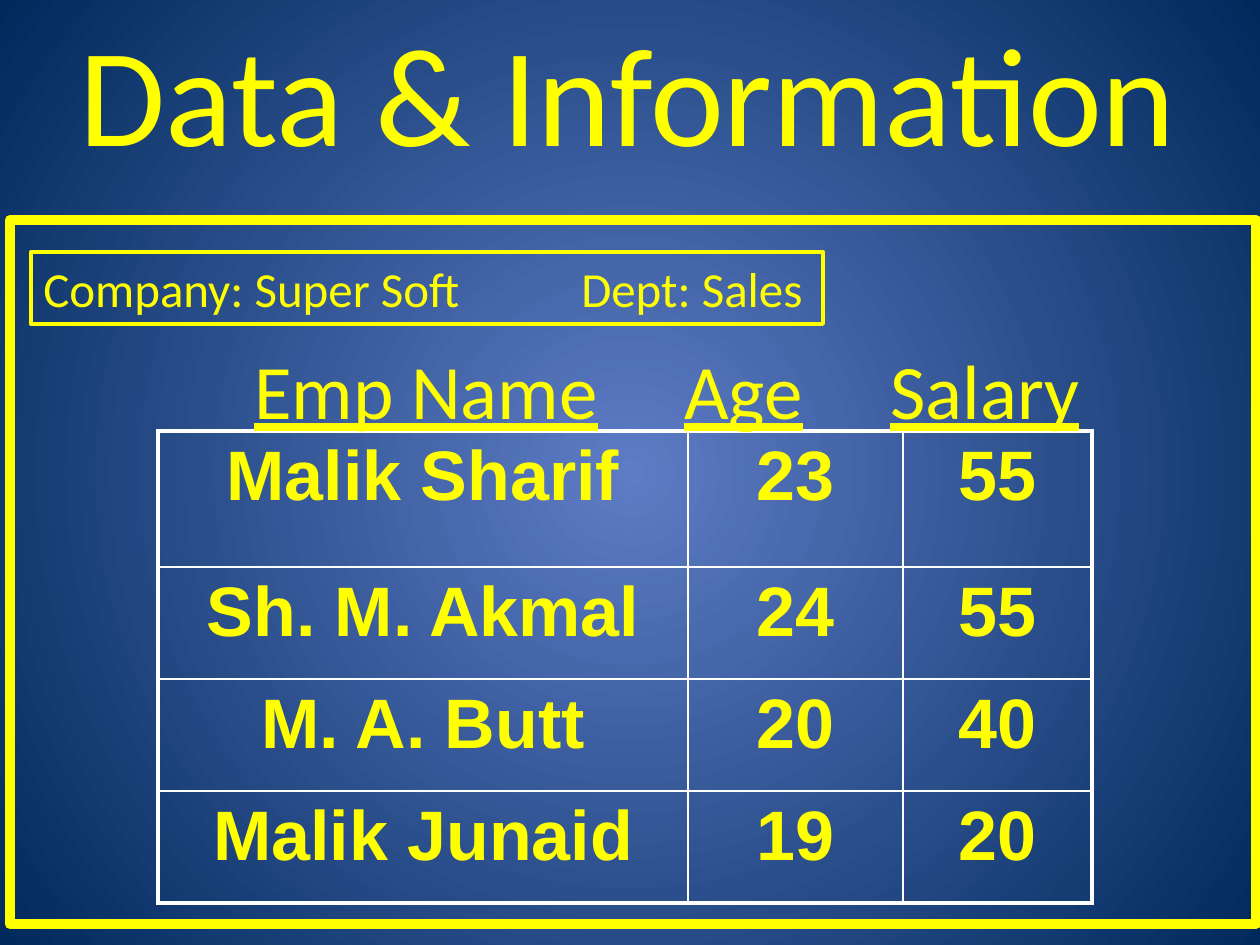
from pptx import Presentation
from pptx.dml.color import RGBColor as Rgb
from pptx.enum.shapes import MSO_SHAPE as Kind
from pptx.enum.text import MSO_ANCHOR as Anchor, PP_ALIGN as Align
from pptx.oxml import parse_xml
from pptx.oxml.ns import nsdecls, qn
from pptx.util import Pt

HUES = {"text": "FFFF00", "grid": "FFFFFF", "core": "5E7CC5", "rim": "00295C"}
WIDE, HIGH = 1260, 945


def px(n):
    return round(n * 914400 / 126)


def hue(name):
    return Rgb.from_string(HUES[name])


class Deck:
    def __init__(self):
        self.prs = Presentation()
        self.prs.slide_width, self.prs.slide_height = px(WIDE), px(HIGH)
        self.slide = self.prs.slides.add_slide(self.prs.slide_layouts[5])
        self.shapes = self.slide.shapes

    def back(self):
        fill = self.slide.background.fill
        fill.gradient()
        for stop, name in zip(fill.gradient_stops, ("core", "rim")):
            stop.color.rgb = hue(name)
        grad = self.slide.element.find(".//" + qn("a:gradFill"))
        grad.replace(grad.find(qn("a:lin")), parse_xml(
            f'<a:path {nsdecls("a")} path="circle"><a:fillToRect '
            'l="50000" t="50000" r="50000" b="50000"/></a:path>'))

    def style(self, run, size, face="Calibri", bold=False):
        font = run.font
        font.size, font.name, font.bold = Pt(size), face, bold
        font.color.rgb = hue("text")

    def label(self, shape, text, size, tabs=()):
        frame = shape.text_frame
        frame.word_wrap = True
        frame.vertical_anchor = Anchor.TOP
        frame.text = text
        para = frame.paragraphs[0]
        para.alignment = Align.LEFT
        for run in para.runs:
            self.style(run, size)
        if tabs:
            stops = "".join(f'<a:tab pos="{px(t)}" algn="l"/>' for t in tabs)
            para._p.get_or_add_pPr().append(parse_xml(
                f'<a:tabLst {nsdecls("a")}>{stops}</a:tabLst>'))

    def title(self, text, box, size):
        shape = self.shapes.title
        shape.left, shape.top, shape.width, shape.height = map(px, box)
        self.label(shape, text, size)

    def heads(self, names, box, size, tabs):
        shape = self.shapes.add_textbox(*map(px, box))
        self.label(shape, "", size, tabs)
        para = shape.text_frame.paragraphs[0]
        for i, name in enumerate(names):
            for text in ("\t", name) if i else (name,):
                run = para.add_run()
                run.text = text
                self.style(run, size)
                run.font.underline = text == name

    def frame(self, box, line):
        shape = self.shapes.add_shape(Kind.RECTANGLE, *map(px, box))
        shape.shadow.inherit = False
        shape.fill.background()
        shape.line.color.rgb = hue("text")
        shape.line.width = Pt(line)
        return shape

    def edge(self, cell, sides):
        props = cell._tc.get_or_add_tcPr()
        for i, (side, width) in enumerate(sides.items()):
            props.insert(i, parse_xml(
                f'<a:ln{side} {nsdecls("a")} w="{Pt(width)}"><a:solidFill>'
                f'<a:srgbClr val="{HUES["grid"]}"/></a:solidFill></a:ln{side}>'))

    def table(self, rows, spot, cols, highs, size):
        box = (*spot, sum(cols), sum(highs))
        grid = self.shapes.add_table(len(rows), len(cols), *map(px, box)).table
        grid.first_row = grid.horz_banding = False
        for col, wide in zip(grid.columns, cols):
            col.width = px(wide)
        for row, high in zip(grid.rows, highs):
            row.height = px(high)
        end, last = len(rows) - 1, len(cols) - 1
        for r, row in enumerate(rows):
            for c, text in enumerate(row):
                cell = grid.cell(r, c)
                cell.fill.background()
                cell.text_frame.text = text
                para = cell.text_frame.paragraphs[0]
                para.alignment = Align.CENTER
                self.style(para.runs[0], size, "Arial", True)
                # The outer edge is heavier than the inner lines
                outer = {"L": c == 0, "R": c == last, "T": r == 0, "B": r == end}
                self.edge(cell, {s: 2.25 if o else 1 for s, o in outer.items()})


def main():
    deck = Deck()
    deck.back()
    deck.title("Data & Information", (67, 0, 1193, 180), 80)

    # Staff table and its column heads
    staff = [("Malik Sharif", "23", "55"), ("Sh. M. Akmal", "24", "55"),
             ("M. A. Butt", "20", "40"), ("Malik Junaid", "19", "20")]
    deck.table(staff, (158, 431), (530, 215, 189), (136, 112, 112, 112), 40)
    deck.heads(("Emp Name", "Age", "Salary"), (242, 336, 859, 106), 44, (430, 636))

    # Company line and outer frame
    firm = deck.frame((31, 252, 792, 72), 2.25)
    deck.label(firm, "Company: Super Soft\tDept: Sales", 28, (538,))
    deck.frame((10, 220, 1246, 704), 6)

    deck.prs.save("out.pptx")


if __name__ == "__main__":
    main()
